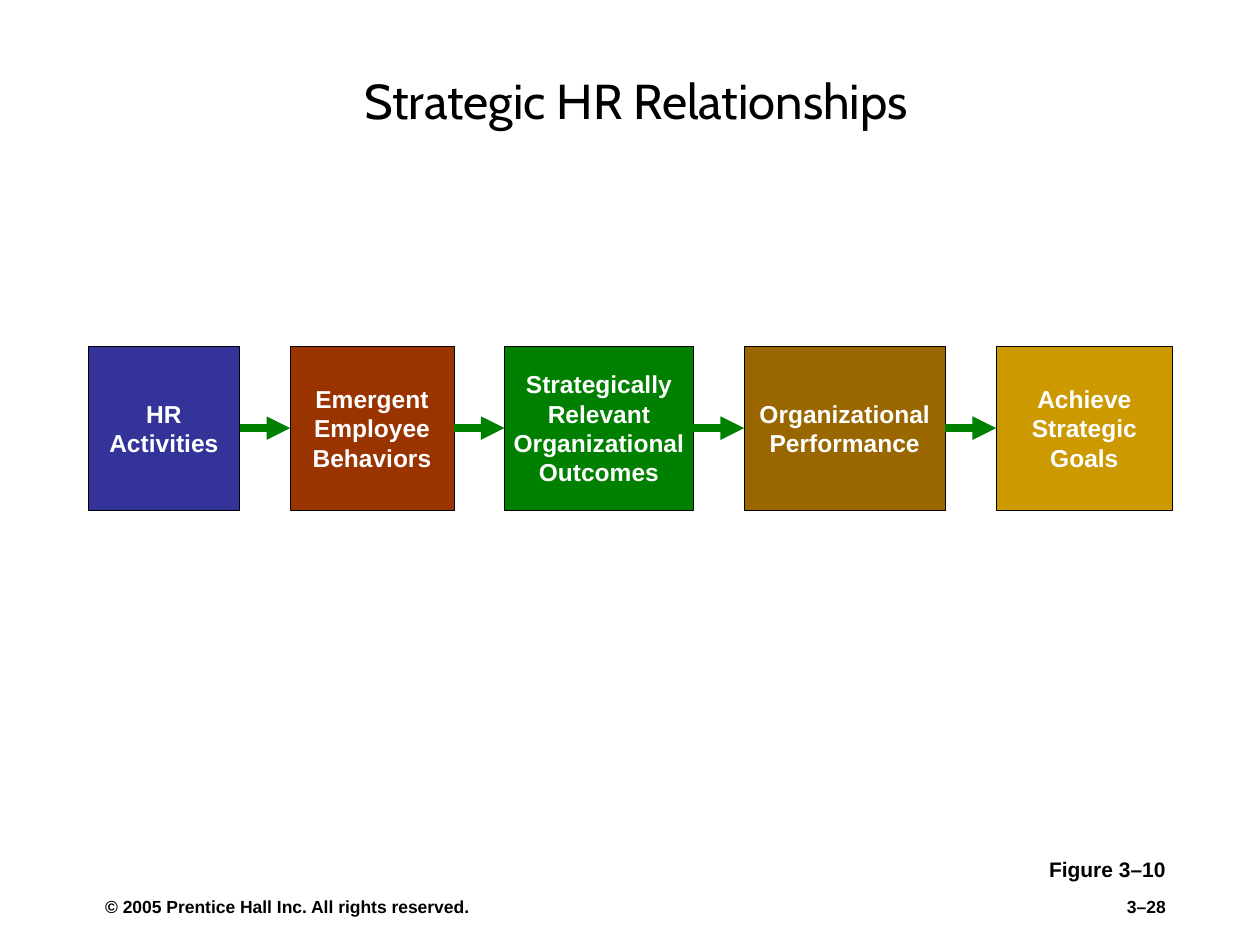
from dataclasses import dataclass

from lxml import etree
from pptx import Presentation
from pptx.dml.color import RGBColor
from pptx.enum.shapes import MSO_CONNECTOR, MSO_SHAPE
from pptx.enum.text import MSO_ANCHOR, PP_ALIGN
from pptx.oxml.ns import qn
from pptx.util import Cm, Pt

STRAIGHT = MSO_CONNECTOR.STRAIGHT
RECTANGLE = MSO_SHAPE.RECTANGLE
MIDDLE, BOTTOM = MSO_ANCHOR.MIDDLE, MSO_ANCHOR.BOTTOM
LEFT, CENTER, RIGHT = PP_ALIGN.LEFT, PP_ALIGN.CENTER, PP_ALIGN.RIGHT
LEFT_SIDE, RIGHT_SIDE = 1, 3


@dataclass(frozen=True)
class Theme:
    heading_font: str = "Cabin"
    body_font: str = "Arial"
    ink: str = "000000"
    stage_text: str = "FFFFFF"
    arrow: str = "008000"
    stage_fills: tuple = ("333399", "993300", "008000", "996600", "CC9900")
    title_size: int = 28
    stage_size: int = 14
    figure_size: int = 12
    footer_size: int = 10


theme = Theme()


def write(shape, text, size, color, align, anchor, margins=(0, 0),
          font=theme.body_font, bold=True):
    frame = shape.text_frame
    frame.word_wrap = True
    frame.vertical_anchor = anchor
    frame.margin_left, frame.margin_right = map(Cm, margins)
    frame.margin_top = frame.margin_bottom = Cm(0.13)
    frame.text = text
    paragraph = frame.paragraphs[0]
    paragraph.alignment = align
    for run in paragraph.runs:
        run.font.name = font
        run.font.size = Pt(size)
        run.font.bold = bold
        run.font.color.rgb = RGBColor.from_string(color)


deck = Presentation()
deck.slide_width, deck.slide_height = Cm(25.4), Cm(19.05)
slide = deck.slides.add_slide(deck.slide_layouts[6])
shapes = slide.shapes

title = shapes.add_textbox(Cm(1.9), Cm(1.07), Cm(21.6), Cm(1.9))
write(title, "Strategic HR Relationships", theme.title_size, theme.ink, CENTER,
      MIDDLE, (0.5, 0.25), theme.heading_font, False)

stages = [
    ("HR\vActivities", 3.05),
    ("Emergent Employee Behaviors", 3.3),
    ("Strategically Relevant Organizational Outcomes", 3.81),
    ("Organizational Performance", 4.06),
    ("Achieve Strategic Goals", 3.56),
]
stage_left, stage_top, stage_height, stage_gap = 1.78, 6.98, 3.3, 1.02
previous_stage = None
for (label, width), fill in zip(stages, theme.stage_fills):
    stage = shapes.add_shape(RECTANGLE, Cm(stage_left), Cm(stage_top),
                             Cm(width), Cm(stage_height))
    stage.shadow.inherit = False
    stage.fill.solid()
    stage.fill.fore_color.rgb = RGBColor.from_string(fill)
    stage.line.color.rgb = RGBColor.from_string(theme.ink)
    stage.line.width = Pt(0.25)
    write(stage, label, theme.stage_size, theme.stage_text, CENTER, MIDDLE)

    if previous_stage is not None:
        arrow = shapes.add_connector(STRAIGHT, 0, 0, 0, 0)
        arrow.begin_connect(previous_stage, RIGHT_SIDE)
        arrow.end_connect(stage, LEFT_SIDE)
        arrow.line.color.rgb = RGBColor.from_string(theme.arrow)
        arrow.line.width = Pt(4.5)
        etree.SubElement(arrow.line._get_or_add_ln(), qn("a:tailEnd"), type="triangle")
        etree.SubElement(arrow._element.spPr, qn("a:effectLst"))

    previous_stage = stage
    stage_left += width + stage_gap

figure_label = shapes.add_textbox(Cm(17.53), Cm(17.15), Cm(6.35), Cm(0.76))
write(figure_label, "Figure 3–10", theme.figure_size, theme.ink, RIGHT, MIDDLE,
      (0.25, 0.38))

copyright_line = shapes.add_textbox(Cm(2.12), Cm(17.93), Cm(9.32), Cm(0.69))
write(copyright_line, "© 2005 Prentice Hall Inc. All rights reserved.",
      theme.footer_size, theme.ink, LEFT, BOTTOM, (0, 0.5))

page_number = shapes.add_textbox(Cm(21.8), Cm(17.93), Cm(1.7), Cm(0.69))
write(page_number, "3–28", theme.footer_size, theme.ink, RIGHT, BOTTOM)

deck.save("out.pptx")
